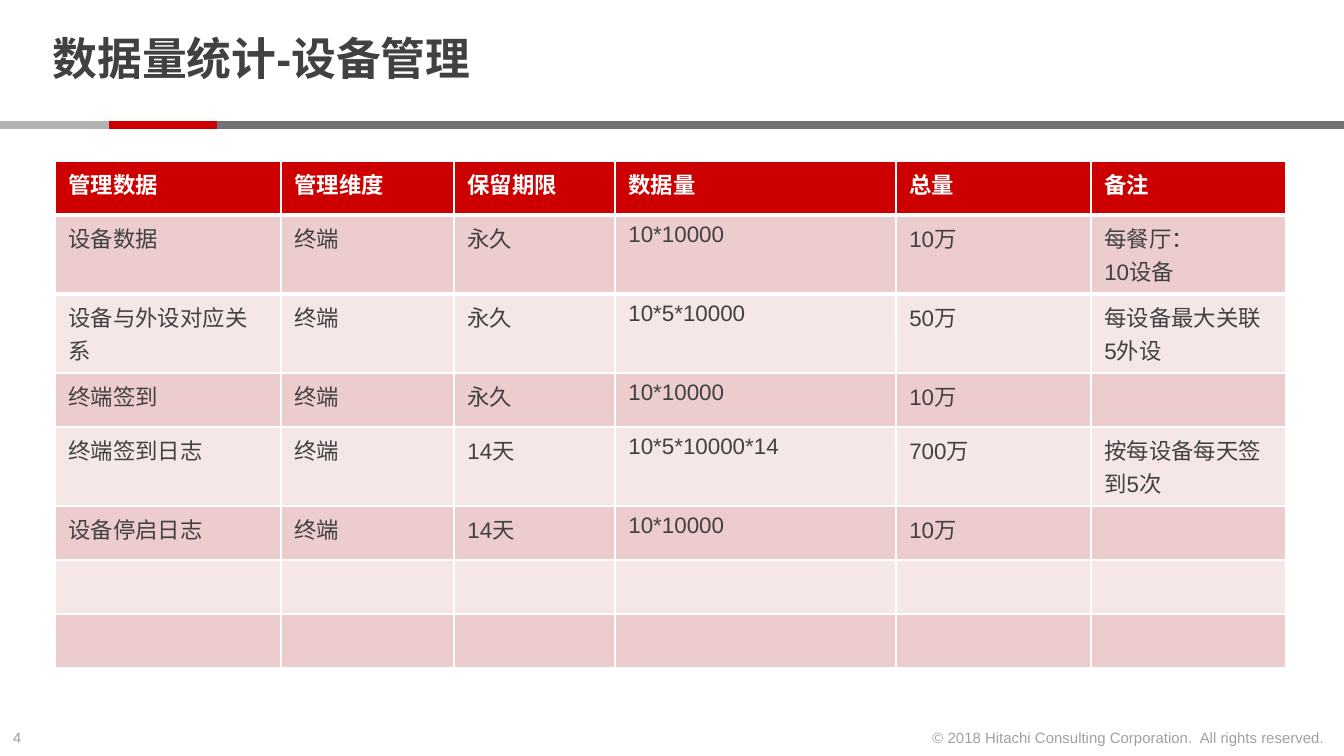
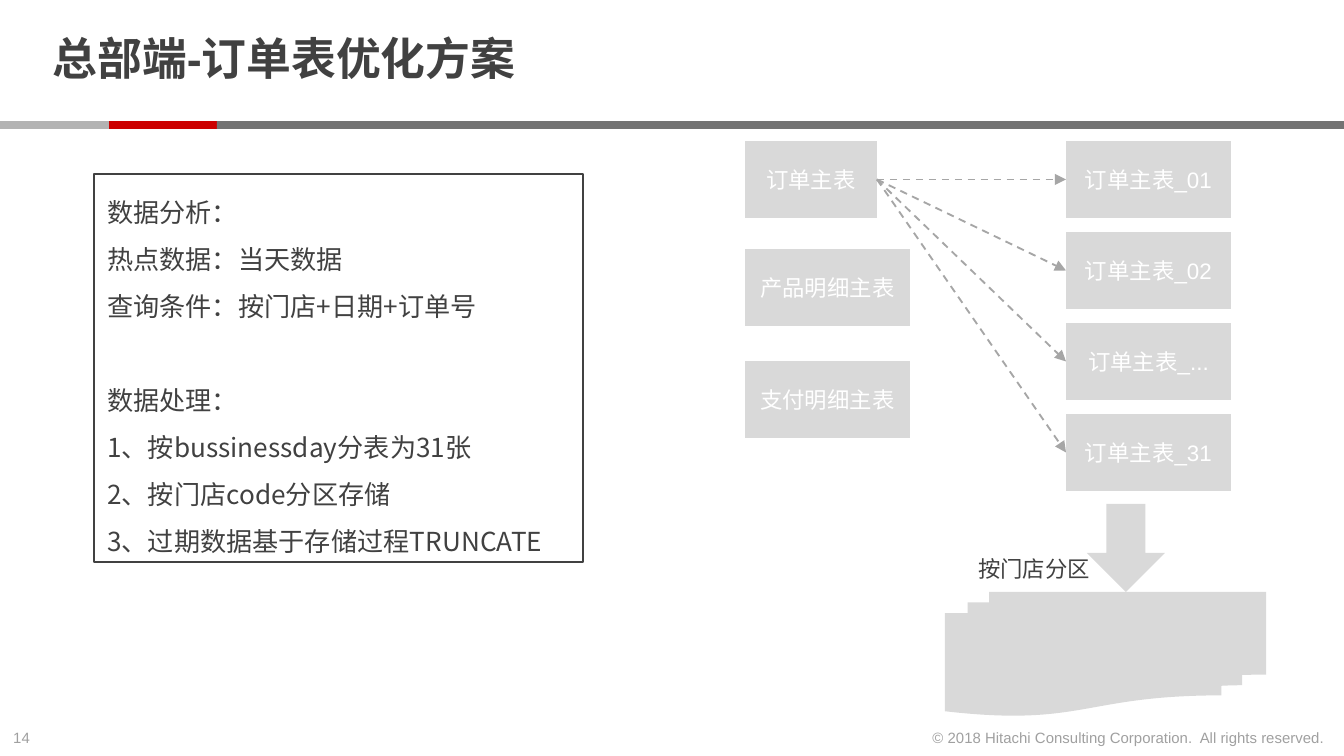
from lxml import etree
from pptx import Presentation
from pptx import util as u
from pptx.dml.color import RGBColor
from pptx.enum import dml, shapes, text
from pptx.oxml.ns import qn

EMU_PER_PX = 914400 / 134.4
FONT = "Arial"
BODY_FONT = "Noto Sans CJK SC"
DARK, WHITE, RED = "414141", "FFFFFF", "CC0000"
FOOTER_GRAY, BOX_GRAY, ARROW_GRAY = "A0A0A0", "D9D9D9", "A6A6A6"
ROW_FILLS = ["ECCCCC", "F6E7E7"]
BANDS = [(0, 109, "B3B3B3"), (109, 108, RED), (217, 1127, "737373")]
COPYRIGHT = "© 2018 Hitachi Consulting Corporation.  All rights reserved."

COLUMN_WIDTHS = [226, 173, 161, 281, 195, 195]
ONE_LINE, TWO_LINES = 54, 79
ROW_HEIGHTS = [ONE_LINE, TWO_LINES, TWO_LINES, ONE_LINE, TWO_LINES,
               ONE_LINE, ONE_LINE, ONE_LINE]
DEVICE_ROWS = [
    ["管理数据", "管理维度", "保留期限", "数据量", "总量", "备注"],
    ["设备数据", "终端", "永久", "10*10000", "10万", "每餐厅：\n10设备"],
    ["设备与外设对应关系", "终端", "永久", "10*5*10000", "50万", "每设备最大关联5外设"],
    ["终端签到", "终端", "永久", "10*10000", "10万", ""],
    ["终端签到日志", "终端", "14天", "10*5*10000*14", "700万", "按每设备每天签到5次"],
    ["设备停启日志", "终端", "14天", "10*10000", "10万", ""],
    [""] * 6,
    [""] * 6,
]

ANALYSIS = ["数据分析：", "热点数据：当天数据", "查询条件：按门店+日期+订单号"]
PROCESSING = ["数据处理：", "1、按bussinessday分表为31张", "2、按门店code分区存储",
              "3、过期数据基于存储过程TRUNCATE"]
LINE_PITCH = u.Pt(25.2)


def px(*lengths):
    return [u.Emu(round(length * EMU_PER_PX)) for length in lengths]


def color(hex_string):
    return RGBColor.from_string(hex_string)


def format_text(text_frame, size, hex_color, bold=False, align=None, font=FONT):
    for paragraph in text_frame.paragraphs:
        if align is not None:
            paragraph.alignment = align
        for run in paragraph.runs:
            run.font.name = font
            run.font.size = u.Pt(size)
            run.font.bold = bold
            run.font.color.rgb = color(hex_color)


def add_filled_shape(slide, kind, box, fill):
    shape = slide.shapes.add_shape(kind, *px(*box))
    shape.shadow.inherit = False
    shape.fill.solid()
    shape.fill.fore_color.rgb = color(fill)
    shape.line.fill.background()
    return shape


def add_label(slide, box, label, size, hex_color, align=text.PP_ALIGN.LEFT):
    text_frame = slide.shapes.add_textbox(*px(*box)).text_frame
    text_frame.word_wrap = False
    text_frame.text = label
    format_text(text_frame, size, hex_color, align=align)


def add_framed_slide(presentation, title, number):
    """Add a slide with the shared title, bands and footer."""
    slide = presentation.slides.add_slide(presentation.slide_layouts[5])
    for left, width, fill in BANDS:
        add_filled_shape(slide, shapes.MSO_SHAPE.RECTANGLE, (left, 121, width, 8), fill)
    add_label(slide, (0, 722, 46, 32), str(number), 8, FOOTER_GRAY)
    add_label(slide, (913, 722, 425, 32), COPYRIGHT, 8, FOOTER_GRAY, text.PP_ALIGN.RIGHT)

    heading = slide.shapes.title
    heading.left, heading.top, heading.width, heading.height = px(39, 8, 1036, 108)
    text_frame = heading.text_frame
    text_frame.text = title
    text_frame.vertical_anchor = text.MSO_ANCHOR.MIDDLE
    text_frame.margin_top = text_frame.margin_bottom = 0
    text_frame.paragraphs[0].line_spacing = 0.85
    format_text(text_frame, 24, DARK, bold=True, align=text.PP_ALIGN.LEFT)
    return slide


def set_cell_border(cell, side, points):
    """Draw a white border; side is the a:tcPr child name, such as lnB."""
    line = etree.Element(qn(f"a:{side}"), w=str(u.Pt(points)))
    fill = etree.SubElement(line, qn("a:solidFill"))
    etree.SubElement(fill, qn("a:srgbClr"), val=WHITE)
    cell._tc.get_or_add_tcPr().insert(0, line)


def add_data_table(slide, left, top, rows):
    size = px(left, top, sum(COLUMN_WIDTHS), sum(ROW_HEIGHTS))
    table = slide.shapes.add_table(len(rows), len(COLUMN_WIDTHS), *size).table
    for column, width in zip(table.columns, px(*COLUMN_WIDTHS)):
        column.width = width
    for row, height in zip(table.rows, px(*ROW_HEIGHTS)):
        row.height = height
    for row_index, values in enumerate(rows):
        is_header = row_index == 0
        fill = RED if is_header else ROW_FILLS[(row_index - 1) % 2]
        for column_index, value in enumerate(values):
            cell = table.cell(row_index, column_index)
            cell.fill.solid()
            cell.fill.fore_color.rgb = color(fill)
            if is_header:
                set_cell_border(cell, "lnB", 3)
            elif row_index == 1:
                set_cell_border(cell, "lnT", 3)
            if value:
                cell.text_frame.text = value
                format_text(cell.text_frame, 12, WHITE if is_header else DARK, is_header)


def add_notes_box(slide, box, groups):
    """Add an outlined box of lines, with one line of space between groups."""
    shape = slide.shapes.add_shape(shapes.MSO_SHAPE.RECTANGLE, *px(*box))
    shape.shadow.inherit = False
    shape.fill.background()
    shape.line.color.rgb = color(DARK)
    shape.line.width = u.Pt(0.75)
    text_frame = shape.text_frame
    text_frame.word_wrap = True
    text_frame.vertical_anchor = text.MSO_ANCHOR.TOP
    text_frame.text = "\n".join(line for group in groups for line in group)
    for paragraph in text_frame.paragraphs:
        paragraph.line_spacing = LINE_PITCH
    first_of_group = 0
    for group in groups[:-1]:
        first_of_group += len(group)
        text_frame.paragraphs[first_of_group].space_before = LINE_PITCH
    format_text(text_frame, 14, DARK, align=text.PP_ALIGN.LEFT, font=BODY_FONT)
    for run_properties in text_frame._txBody.iter(qn("a:rPr")):
        east_asian = etree.Element(qn("a:ea"), typeface=BODY_FONT)
        run_properties.find(qn("a:latin")).addnext(east_asian)


def add_order_table(slide, left, top, label, width=165):
    shape = add_filled_shape(slide, shapes.MSO_SHAPE.FLOWCHART_PROCESS,
                             (left, top, width, 77), BOX_GRAY)
    shape.text_frame.word_wrap = True
    shape.text_frame.vertical_anchor = text.MSO_ANCHOR.MIDDLE
    shape.text_frame.text = label
    format_text(shape.text_frame, 12, WHITE, align=text.PP_ALIGN.CENTER)
    return shape


def add_dashed_arrow(slide, source, target):
    """Join the right side of source to the left side of target."""
    connector = slide.shapes.add_connector(shapes.MSO_CONNECTOR.STRAIGHT, 0, 0, 0, 0)
    connector.begin_connect(source, 3)
    connector.end_connect(target, 1)
    connector.line.color.rgb = color(ARROW_GRAY)
    connector.line.width = u.Pt(1)
    connector.line.dash_style = dml.MSO_LINE.DASH
    etree.SubElement(connector.line._get_or_add_ln(), qn("a:tailEnd"), type="triangle")
    etree.SubElement(connector._element.spPr, qn("a:effectLst"))


def build_device_slide(presentation):
    slide = add_framed_slide(presentation, "数据量统计-设备管理", 4)
    add_data_table(slide, 55, 161, DEVICE_ROWS)


def build_order_slide(presentation):
    slide = add_framed_slide(presentation, "总部端-订单表优化方案", 14)
    add_notes_box(slide, (94, 174, 489, 388), [ANALYSIS, PROCESSING])

    main_table = add_order_table(slide, 745, 141, "订单主表", width=132)
    add_order_table(slide, 745, 249, "产品明细主表")
    add_order_table(slide, 745, 361, "支付明细主表")
    split_tables = [add_order_table(slide, 1066, 141 + 91 * index, f"订单主表_{suffix}")
                    for index, suffix in enumerate(["01", "02", "...", "31"])]
    for split_table in split_tables:
        add_dashed_arrow(slide, main_table, split_table)

    add_filled_shape(slide, shapes.MSO_SHAPE.FLOWCHART_MULTIDOCUMENT,
                     (945, 592, 321, 124), BOX_GRAY)
    add_filled_shape(slide, shapes.MSO_SHAPE.DOWN_ARROW, (1087, 504, 78, 88), BOX_GRAY)
    add_label(slide, (965, 549, 140, 40), "按门店分区", 12, DARK)


def main():
    presentation = Presentation()
    presentation.slide_width, presentation.slide_height = px(1344, 756)
    build_device_slide(presentation)
    build_order_slide(presentation)
    presentation.save("out.pptx")


if __name__ == "__main__":
    main()
